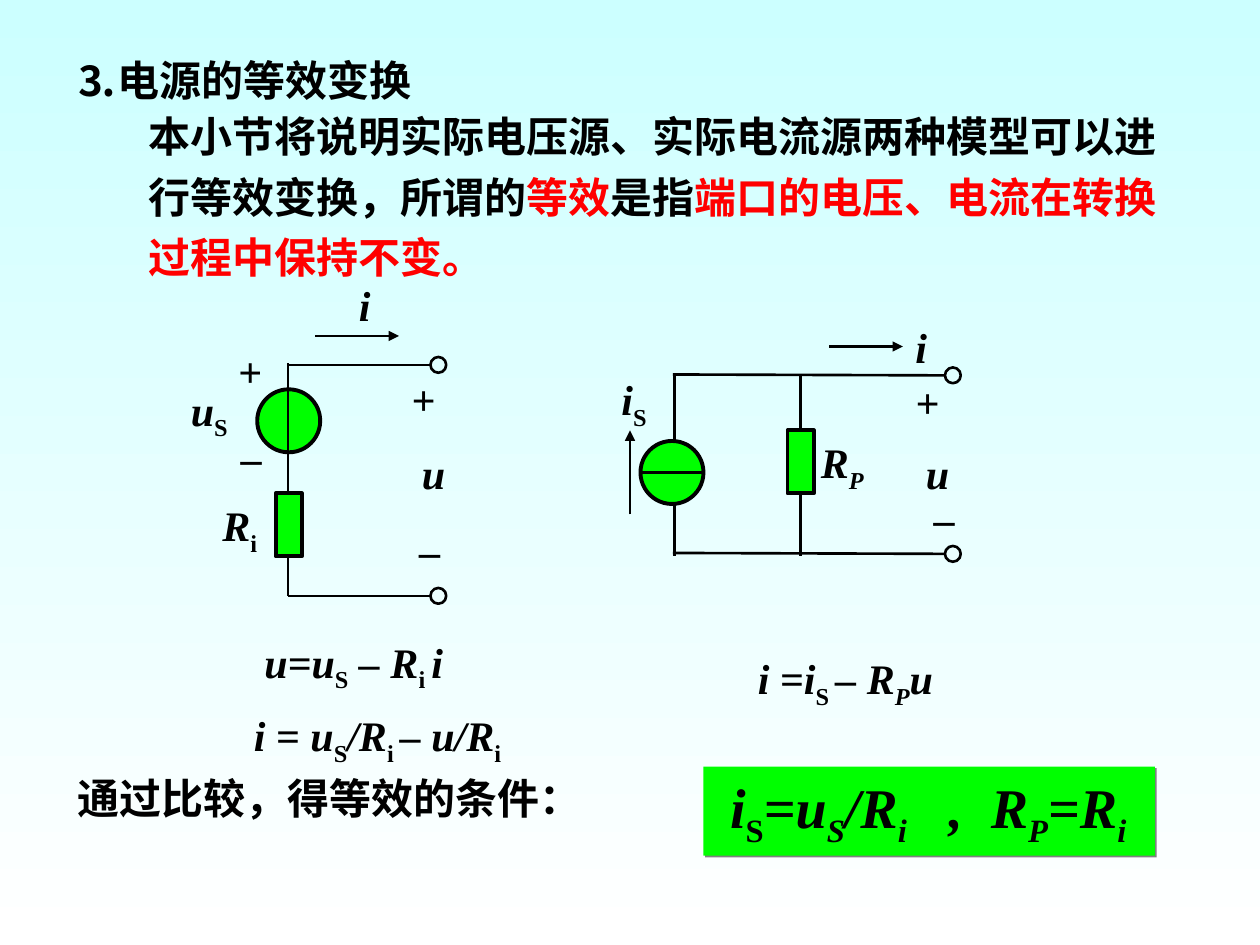
from pptx import Presentation
from pptx.dml.color import RGBColor
from pptx.enum.shapes import MSO_CONNECTOR, MSO_SHAPE
from pptx.enum.text import PP_ALIGN
from pptx.oxml.ns import qn
from pptx.util import Pt
from lxml import etree

LINE = MSO_CONNECTOR.STRAIGHT
RECT, OVAL = MSO_SHAPE.RECTANGLE, MSO_SHAPE.OVAL
CENTER, LEFT = PP_ALIGN.CENTER, PP_ALIGN.LEFT

THEME = {
    "font": "Times New Roman", "body": 24, "result": 32,
    "ink": "000000", "accent": "FF0000", "fill": "00FF00", "shadow": "808080",
    "sky": "CCFFFF", "white": "FFFFFF", "wire": 1.5, "outline": 2.25,
}

PLAIN, RED, VAR, SUB, VARSUB = "plain", "red", "var", "sub", "varsub"

HEADING = [("⒊电源的等效变换", PLAIN)]
INTRO = [
    ("本小节将说明实际电压源、实际电流源两种模型可以进行等效变换，所谓的", PLAIN),
    ("等效", RED), ("是指", PLAIN),
    ("端口的电压、电流在转换过程中保持不变。", RED),
]
CONCLUSION = [("通过比较，得等效的条件：", PLAIN)]

EQUATIONS = [
    (144, 360, 138, [("u=u", VAR), ("S", SUB), (" – R", VAR), ("i ", SUB), ("i", VAR)]),
    (426, 369.5, 144, [("i =i", VAR), ("S ", SUB), ("– R", VAR), ("P", VARSUB), ("u", VAR)]),
    (138, 402, 174, [("i = u", VAR), ("S", SUB), ("/R", VAR), ("i ", SUB),
                     ("– u/R", VAR), ("i", SUB)]),
]
RESULT = [("i", VAR), ("S", SUB), ("=u", VAR), ("S", VARSUB), ("/R", VAR), ("i", VARSUB),
          ("\t,\tR", VAR), ("P", VARSUB), ("=R", VAR), ("i", VARSUB)]
RESULT_BOX = (402, 438, 258, 51)
RESULT_TABS = (125, 149)

VOLTAGE_SOURCE = {
    "wires": [(164.5, 207.5, 164.5, 340.5), (164, 208.5, 246, 208.5), (164.5, 340.5, 246, 340.5)],
    "wires_on_top": True,
    "source": (147, 222.5), "resistor": (157.5, 282),
    "diameter": None,
    "terminals": [(246, 204), (246, 336)],
    "arrows": [(180, 192, 228, 192)],
    "labels": [
        (198, 156, 30, [("i", VAR)], LEFT),
        (129, 194, 28, [("+", PLAIN)], CENTER),
        (130, 235, 27, [("_", PLAIN)], CENTER),
        (102, 216, 42, [("u", VAR), ("S", SUB)], LEFT),
        (120, 282, 36, [("R", VAR), ("i", SUB)], LEFT),
        (228, 210, 36, [("+", VAR)], LEFT),
        (234, 252, 36, [("u", VAR)], LEFT),
        (234, 288, 36, [("_", VAR)], LEFT),
    ],
}
CURRENT_SOURCE = {
    "wires": [(384.5, 214, 540, 214.5), (384.5, 316, 540, 316.5),
              (385.5, 214, 385.5, 318), (457.5, 214, 457.5, 318)],
    "wires_on_top": False,
    "source": (366, 252), "resistor": (450, 246),
    "diameter": (366, 270, 402, 270),
    "terminals": [(540, 210), (540, 312)],
    "arrows": [(474, 198, 516, 198), (360, 294, 360, 246)],
    "labels": [
        (516, 180, 30, [("i", VAR)], LEFT),
        (462, 246, 42, [("R", VAR), ("P", VARSUB)], LEFT),
        (516, 211.5, 36, [("+", VAR)], LEFT),
        (522, 252, 36, [("u", VAR)], LEFT),
        (528, 270, 36, [("_", VAR)], LEFT),
        (348, 210, 36, [("i", VAR), ("S", SUB)], LEFT),
    ],
}


def color(name):
    return RGBColor.from_string(THEME[name])


def write(sp, runs, size="body", align=LEFT, spacing=None, tabs=()):
    tf = sp.text_frame
    tf.word_wrap = True
    p = tf.paragraphs[0]
    p.alignment = align
    if spacing:
        p.line_spacing = spacing
    if tabs:
        tab_list = etree.SubElement(p._p.get_or_add_pPr(), qn("a:tabLst"))
        for pos in tabs:
            etree.SubElement(tab_list, qn("a:tab"), pos=str(Pt(pos)), algn="l")
    p.font.name = THEME["font"]
    p.font.size = Pt(THEME[size])
    p.font.bold = True
    for text, style in runs:
        r = p.add_run()
        r.text = text
        r.font.color.rgb = color("accent" if style == RED else "ink")
        r.font.italic = style in (VAR, VARSUB)
        if style in (SUB, VARSUB):
            r._r.get_or_add_rPr().set("baseline", "-25000")


def add_text(s, x, y, w, runs, align=LEFT, h=36, spacing=None):
    sp = s.shapes.add_textbox(Pt(x), Pt(y), Pt(w), Pt(h))
    write(sp, runs, align=align, spacing=spacing)


def add_line(s, x1, y1, x2, y2, width="wire", arrow=False):
    c = s.shapes.add_connector(LINE, Pt(x1), Pt(y1), Pt(x2), Pt(y2))
    c.line.color.rgb = color("ink")
    c.line.width = Pt(THEME[width])
    if arrow:
        etree.SubElement(c.line._get_or_add_ln(), qn("a:tailEnd"), type="triangle")
    etree.SubElement(c._element.spPr, qn("a:effectLst"))


def add_part(s, kind, x, y, w, h, width="outline", filled=True):
    sp = s.shapes.add_shape(kind, Pt(x), Pt(y), Pt(w), Pt(h))
    sp.shadow.inherit = False
    if filled:
        sp.fill.solid()
        sp.fill.fore_color.rgb = color("fill")
    else:
        sp.fill.background()
    if width:
        sp.line.color.rgb = color("ink")
        sp.line.width = Pt(THEME[width])
    else:
        sp.line.fill.background()
    return sp


def draw_circuit(s, circuit):
    if circuit["wires_on_top"]:
        add_part(s, OVAL, *circuit["source"], 36, 36)
    for wire in circuit["wires"]:
        add_line(s, *wire)
    if not circuit["wires_on_top"]:
        add_part(s, OVAL, *circuit["source"], 36, 36)
    if circuit["diameter"]:
        add_line(s, *circuit["diameter"], width="outline")
    add_part(s, RECT, *circuit["resistor"], 15, 36)
    for terminal in circuit["terminals"]:
        add_part(s, OVAL, *terminal, 9, 9, width="wire", filled=False)
    for arrow in circuit["arrows"]:
        add_line(s, *arrow, arrow=True)
    for label in circuit["labels"]:
        add_text(s, *label)


def draw_result(s):
    sp = add_part(s, RECT, *RESULT_BOX, width=None)
    effects = sp._element.spPr.find(qn("a:effectLst"))
    shadow = etree.SubElement(effects, qn("a:outerShdw"), dist=str(Pt(1.4)), dir="2700000")
    etree.SubElement(shadow, qn("a:srgbClr"), val=THEME["shadow"])
    sp.text_frame.margin_left = Pt(15.2)
    write(sp, RESULT, size="result", tabs=RESULT_TABS)


def main():
    prs = Presentation()
    prs.slide_width, prs.slide_height = Pt(720), Pt(540)
    s = prs.slides.add_slide(prs.slide_layouts[6])
    fill = s.background.fill
    fill.gradient()
    fill.gradient_angle = 270
    for stop, name in zip(fill.gradient_stops, ("sky", "white")):
        stop.color.rgb = color(name)

    add_text(s, 36, 27.5, 246, HEADING)
    add_text(s, 78, 54, 594, INTRO, h=111, spacing=1.2)
    for equation in EQUATIONS:
        add_text(s, *equation, h=40)
    add_text(s, 37, 438, 352, CONCLUSION)
    draw_result(s)
    for circuit in (CURRENT_SOURCE, VOLTAGE_SOURCE):
        draw_circuit(s, circuit)
    prs.save("out.pptx")


if __name__ == "__main__":
    main()
